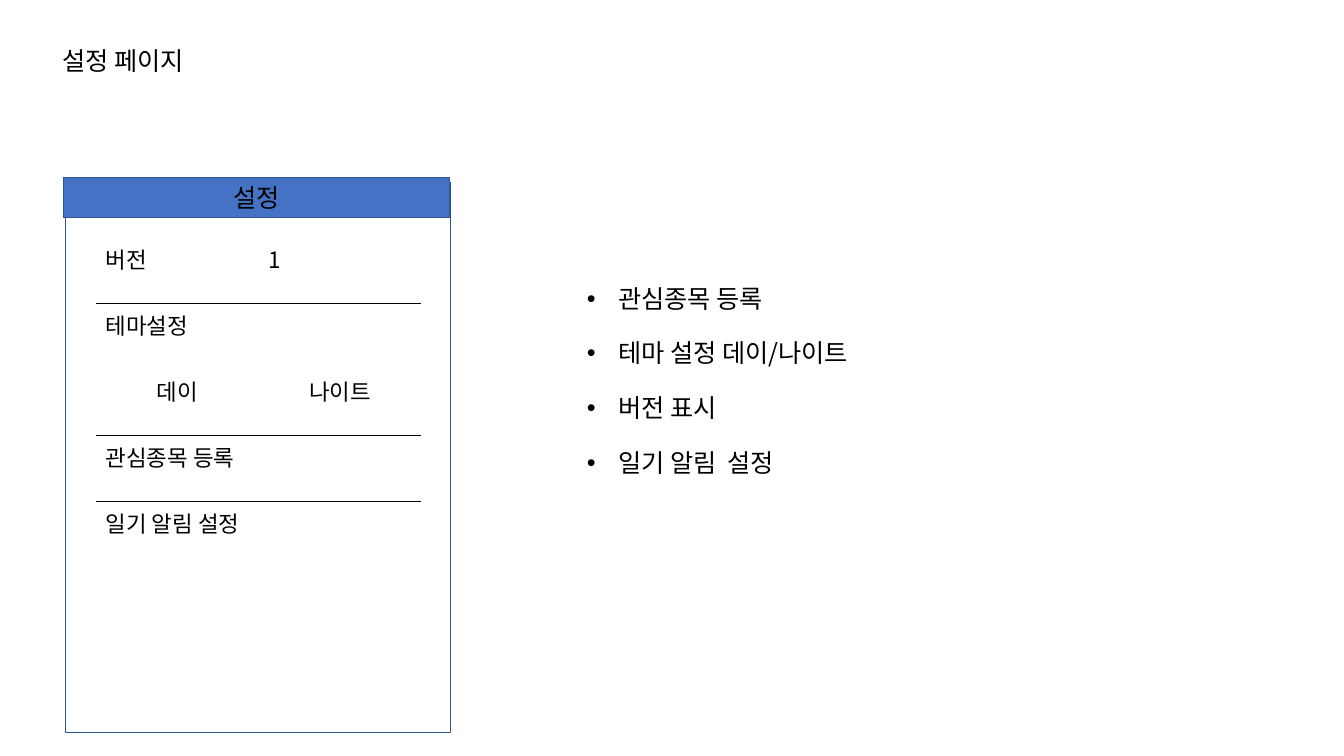
from lxml.etree import SubElement
from pptx import Presentation
from pptx.dml.color import RGBColor
from pptx.enum.shapes import MSO_SHAPE
from pptx.enum.text import MSO_ANCHOR, MSO_AUTO_SIZE, PP_ALIGN
from pptx.oxml import parse_xml
from pptx.oxml.ns import nsdecls, qn
from pptx.util import Inches, Pt

FONT = "Noto Sans CJK KR"
COLORS = {"text": "000000", "rule": "000000", "panel": "FFFFFF",
          "header": "4472C4", "outline": "325491"}
PLAIN_TABLE_STYLE = "{2D5ABB26-0587-4C30-8999-92F81FD0307C}"

TITLE = "설정 페이지"
FEATURES = ["관심종목 등록", "테마 설정 데이/나이트", "버전 표시", "일기 알림  설정"]
PANEL_TITLE = "설정"
# A row with one entry spans both columns
SETTINGS = [["버전", "1"], ["테마설정"], ["데이", "나이트"], ["관심종목 등록"], ["일기 알림 설정"]]
CENTERED_ROW = 2
RULED_ROWS = {0, 2, 3}


def color(name):
    return RGBColor.from_string(COLORS[name])


def write(para, words, size=18, **para_format):
    span = para.add_run()
    span.text = words
    span.font.color.rgb = color("text")
    for name, value in {"size": Pt(size), "bold": False, "name": FONT}.items():
        setattr(span.font, name, value)
    SubElement(span.font._element, qn("a:ea"), typeface=FONT)
    for name, value in para_format.items():
        setattr(para, name, value)


def place(holder, box):
    for name, value in zip(("left", "top", "width", "height"), box):
        setattr(holder, name, Inches(value))
    frame_format = {"vertical_anchor": MSO_ANCHOR.TOP, "word_wrap": True,
                    "auto_size": MSO_AUTO_SIZE.NONE}
    for name, value in frame_format.items():
        setattr(holder.text_frame, name, value)


def add_title(page, box):
    holder = page.shapes.title
    place(holder, box)
    write(holder.text_frame.paragraphs[0], TITLE,
          alignment=PP_ALIGN.LEFT, line_spacing=0.9)


def add_features(page, box):
    holder = page.placeholders[1]
    place(holder, box)
    frame = holder.text_frame
    for index, feature in enumerate(FEATURES):
        para = frame.add_paragraph() if index else frame.paragraphs[0]
        write(para, feature, line_spacing=0.9,
              space_before=Pt(0), space_after=Pt(19.6))
        # Hanging bullet
        props = para._p.get_or_add_pPr()
        props.set("marL", str(Inches(0.31)))
        props.set("indent", str(-Inches(0.31)))
        SubElement(props, qn("a:buFont"), typeface="Arial")
        SubElement(props, qn("a:buChar"), char="•")


def add_rectangle(page, box, fill):
    shape = page.shapes.add_shape(MSO_SHAPE.RECTANGLE, *map(Inches, box))
    shape.shadow.inherit = False
    shape.fill.solid()
    shape.fill.fore_color.rgb = color(fill)
    shape.line.color.rgb = color("outline")
    shape.line.width = Pt(1)
    return shape


def rule_below(cell):
    line = parse_xml(
        f'<a:lnB {nsdecls("a")} w="{Pt(1)}"><a:solidFill>'
        f'<a:srgbClr val="{COLORS["rule"]}"/></a:solidFill></a:lnB>')
    cell._tc.get_or_add_tcPr().insert(0, line)


def add_settings_table(page, box):
    left, top, width, height = map(Inches, box)
    table = page.shapes.add_table(len(SETTINGS), 2, left, top, width, height).table
    table.first_row = table.horz_banding = False
    table._tbl.tblPr.find(qn("a:tableStyleId")).text = PLAIN_TABLE_STYLE
    for row, entries in enumerate(SETTINGS):
        cells = [table.cell(row, column) for column in range(2)]
        if len(entries) == 1:
            cells[0].merge(cells[1])
        align = PP_ALIGN.CENTER if row == CENTERED_ROW else PP_ALIGN.LEFT
        for cell, words in zip(cells, entries):
            write(cell.text_frame.paragraphs[0], words, 16, alignment=align)
        for cell in cells:
            cell.fill.background()
            if row in RULED_ROWS:
                rule_below(cell)


def add_settings_panel(page, box):
    left, top, width, height = box
    # Body, then the header bar that overhangs its top left corner
    add_rectangle(page, (left + 0.02, top + 0.05, width - 0.01, height - 0.05), "panel")
    header = add_rectangle(page, (left, top, width, 0.4), "header")
    header.text_frame.vertical_anchor = MSO_ANCHOR.MIDDLE
    write(header.text_frame.paragraphs[0], PANEL_TITLE, alignment=PP_ALIGN.CENTER)
    add_settings_table(page, (left + 0.32, top + 0.6, width - 0.6, 3.27))


def main():
    deck = Presentation()
    deck.slide_width, deck.slide_height = Inches(13.33), Inches(7.5)
    page = deck.slides.add_slide(deck.slide_layouts[1])
    add_title(page, (0.52, 0.43, 5.65, 0.71))
    add_features(page, (5.72, 2.79, 5.42, 3.74))
    add_settings_panel(page, (0.63, 1.76, 3.83, 5.51))
    deck.save("out.pptx")


if __name__ == "__main__":
    main()
